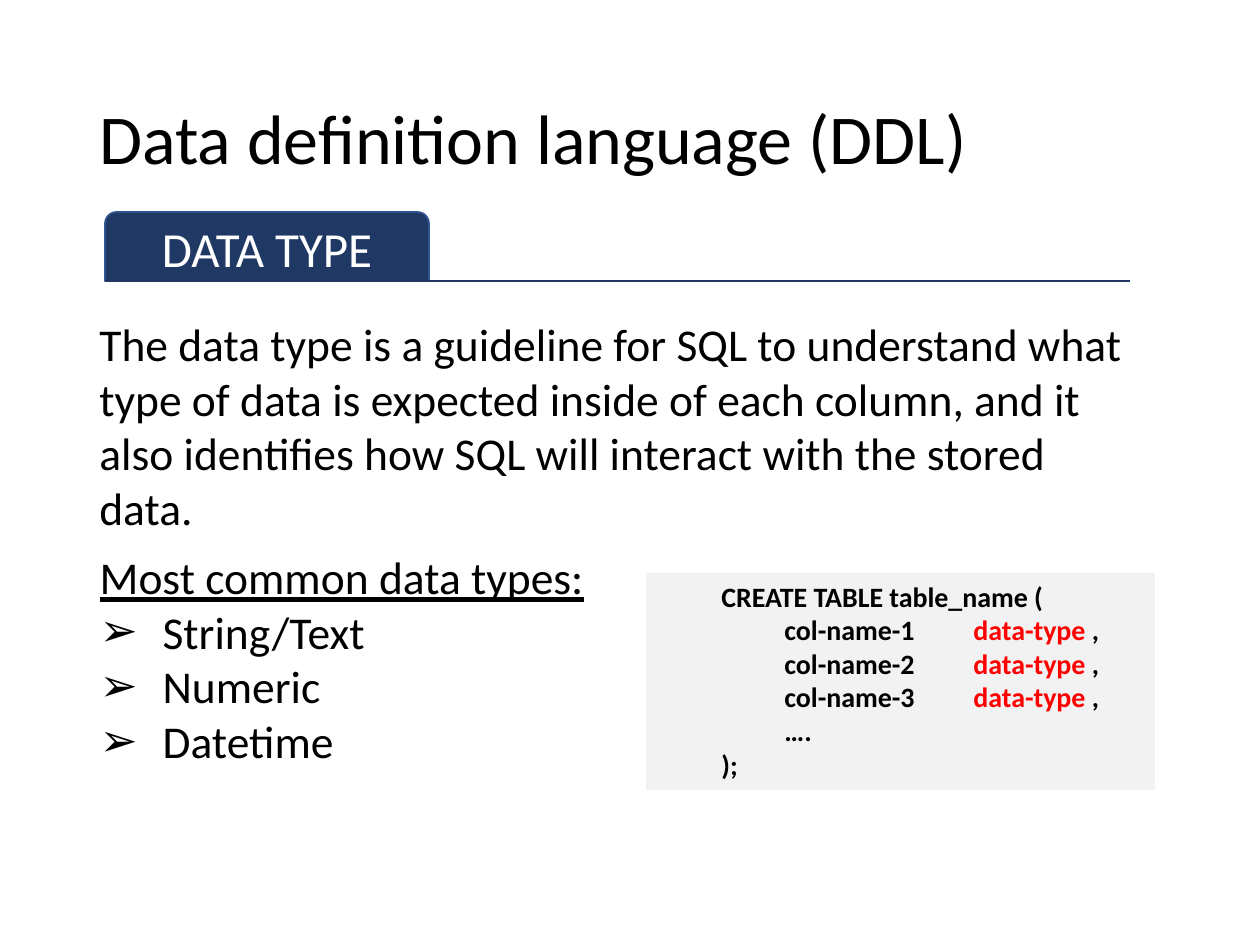
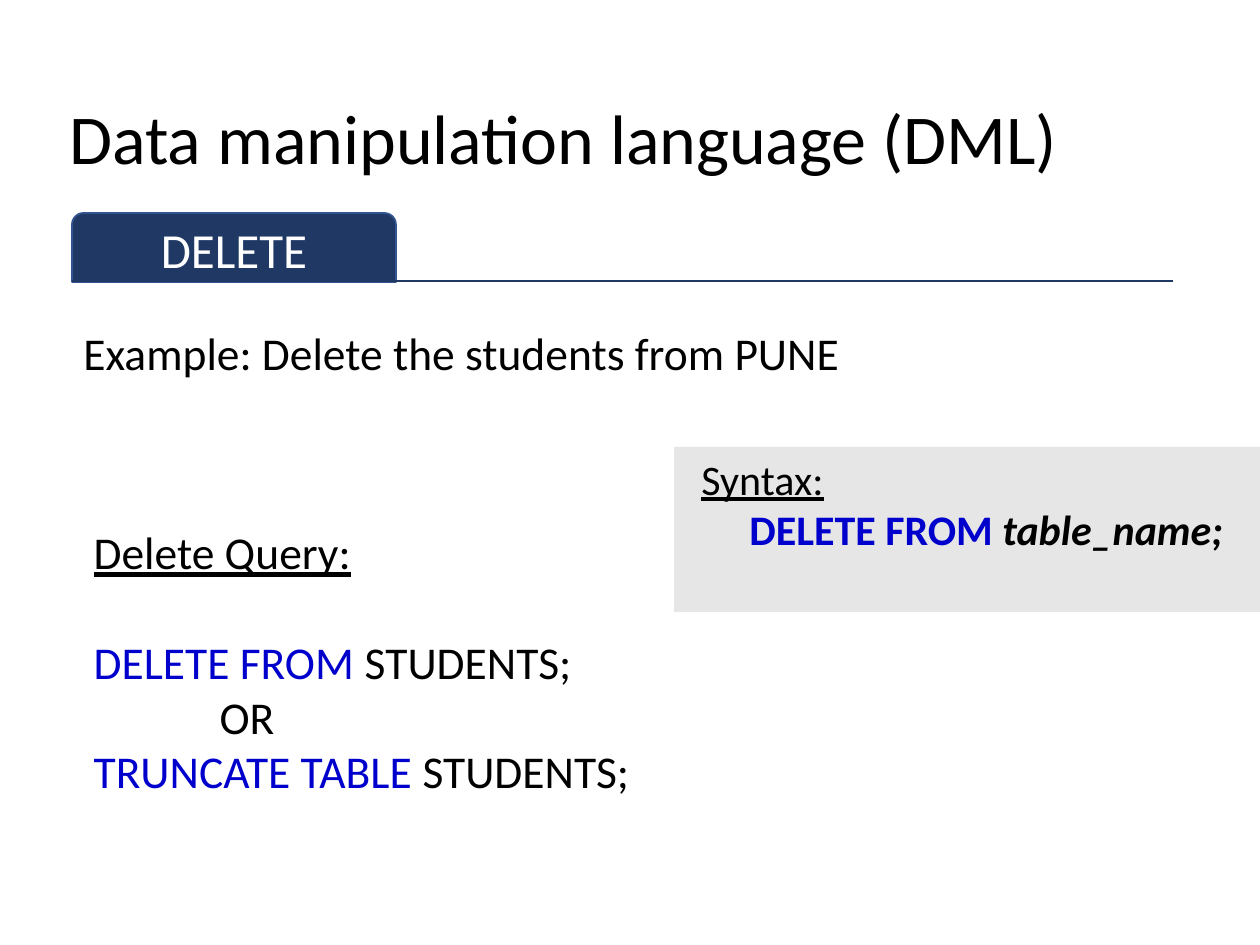
from collections import namedtuple
from dataclasses import dataclass

from lxml.etree import SubElement
from pptx import Presentation
from pptx.dml.color import RGBColor
from pptx.enum.shapes import MSO_CONNECTOR as Connector, MSO_SHAPE as Preset
from pptx.enum.text import MSO_ANCHOR as Anchor, MSO_AUTO_SIZE as AutoSize, PP_ALIGN as Align
from pptx.oxml.ns import qn
from pptx.util import Pt

PX_PER_INCH = 126
TAB = PX_PER_INCH // 2

Box = namedtuple("Box", "left top width height")
Run = namedtuple("Run", "text color bold italic underline", defaults=(None, False, False, False))


@dataclass(frozen=True)
class Theme:
    font: str = "Calibri"
    ink: str = "000000"
    paper: str = "FFFFFF"
    navy: str = "203864"
    tab_edge: str = "325491"
    code_panel: str = "F2F2F2"
    syntax_panel: str = "E7E6E6"
    placeholder_red: str = "FF0000"
    keyword_blue: str = "0000CD"
    title_size: int = 40
    tab_size: int = 28
    body_size: int = 26
    syntax_size: int = 24
    code_size: int = 16


THEME = Theme()


# Shared helpers
def px(length):
    return round(length * 914400 / PX_PER_INCH)


def rgb(color):
    return RGBColor.from_string(color)


def place(shape, box):
    shape.left, shape.top, shape.width, shape.height = map(px, box)


def write(frame, runs, size, color=THEME.ink, align=Align.LEFT, indent=0,
          bullet=None, stops=(), space_before=0):
    """Add one paragraph; the first call fills the empty paragraph of the frame."""
    first = frame.paragraphs[0]
    paragraph = frame.add_paragraph() if first.runs else first
    properties = paragraph._p.get_or_add_pPr()
    properties.set("marL", str(px(indent)))
    properties.set("indent", str(-px(indent) if bullet else 0))
    if bullet:
        SubElement(properties, qn("a:buChar"), char=bullet)
    else:
        SubElement(properties, qn("a:buNone"))
    if stops:
        tab_list = SubElement(properties, qn("a:tabLst"))
        for stop in stops:
            SubElement(tab_list, qn("a:tab"), pos=str(px(stop)), algn="l")
    paragraph.alignment = align
    paragraph.space_before = Pt(space_before)
    for part in runs:
        run = paragraph.add_run()
        run.text = part.text
        font = run.font
        font.name, font.size = THEME.font, Pt(size)
        font.color.rgb = rgb(part.color or color)
        font.bold, font.italic, font.underline = part.bold, part.italic, part.underline
    return paragraph


def prepare(frame, anchor=Anchor.TOP):
    frame.word_wrap = True
    frame.auto_size = AutoSize.NONE
    frame.vertical_anchor = anchor
    return frame


def add_filled(slide, preset, box, fill, edge=None, anchor=Anchor.TOP):
    shape = slide.shapes.add_shape(preset, *map(px, box))
    shape.shadow.inherit = False
    shape.fill.solid()
    shape.fill.fore_color.rgb = rgb(fill)
    if edge:
        shape.line.color.rgb = rgb(edge)
        shape.line.width = Pt(1)
    else:
        shape.line.fill.background()
    return prepare(shape.text_frame, anchor)


# Regions
def add_title(slide, box, text):
    place(slide.shapes.title, box)
    frame = prepare(slide.shapes.title.text_frame, Anchor.MIDDLE)
    write(frame, [Run(text)], THEME.title_size).line_spacing = 0.9


def add_section_tab(slide, box, label, rule_right, rule_y=281):
    frame = add_filled(slide, Preset.ROUND_2_SAME_RECTANGLE, box, THEME.navy,
                       THEME.tab_edge, Anchor.MIDDLE)
    write(frame, [Run(label)], THEME.tab_size, THEME.paper, Align.CENTER)
    rule = slide.shapes.add_connector(
        Connector.STRAIGHT, px(box.left), px(rule_y), px(rule_right), px(rule_y))
    rule.line.color.rgb = rgb(THEME.navy)
    rule.line.width = Pt(1.5)
    SubElement(rule._element.spPr, qn("a:effectLst"))


def add_statement(slide, box, text):
    statement = slide.shapes.add_textbox(*map(px, box))
    write(prepare(statement.text_frame), [Run(text)], THEME.body_size)


def body_frame(slide, box):
    body = slide.placeholders[1]
    place(body, box)
    return prepare(body.text_frame)


def add_type_list(slide, box, heading, types):
    frame = body_frame(slide, box)
    write(frame, [Run(heading, underline=True)], THEME.body_size)
    for data_type in types:
        write(frame, [Run(data_type)], THEME.body_size, indent=TAB, bullet="➢")


def add_create_code(slide, box, columns):
    frame = add_filled(slide, Preset.RECTANGLE, box, THEME.code_panel)
    column_lines = [
        [Run(f"\t\t{column}\t", bold=True),
         Run("data-type", THEME.placeholder_red, bold=True),
         Run(" ,", bold=True)]
        for column in columns
    ]
    lines = [[Run("\tCREATE TABLE table_name (", bold=True)], *column_lines,
             [Run("\t\t….", bold=True)], [Run("\t);", bold=True)]]
    for line in lines:
        write(frame, line, THEME.code_size, stops=(TAB, 2 * TAB, 5 * TAB))


def add_syntax(slide, box):
    frame = add_filled(slide, Preset.RECTANGLE, box, THEME.syntax_panel)
    write(frame, [Run("Syntax:", underline=True)], THEME.syntax_size, indent=15)
    write(frame, [Run("DELETE FROM ", THEME.keyword_blue, bold=True),
                  Run("table_name;", bold=True, italic=True)],
          THEME.syntax_size, indent=TAB)


def add_query(slide, box):
    frame = body_frame(slide, box)
    size, blue = THEME.body_size, THEME.keyword_blue
    write(frame, [Run("Delete Query:", underline=True)], size)
    write(frame, [Run("DELETE FROM", blue), Run(" STUDENTS;")], size,
          space_before=31.7)
    write(frame, [Run("OR")], size, indent=2 * TAB)
    write(frame, [Run("TRUNCATE TABLE ", blue), Run("STUDENTS;")], size)


# Slides
def build_data_type(slide):
    add_title(slide, Box(87, 50, 1086, 183), "Data definition language (DDL)")
    add_section_tab(slide, Box(105, 212, 324, 69), "DATA TYPE", rule_right=1130)
    add_create_code(slide, Box(646, 573, 509, 217),
                    [f"col-name-{number}" for number in range(1, 4)])
    add_statement(slide, Box(87, 310, 1070, 233),
                  "The data type is a guideline for SQL to understand what type of data "
                  "is expected inside of each column, and it also identifies how SQL "
                  "will interact with the stored data.")
    add_type_list(slide, Box(87, 543, 630, 233), "Most common data types:",
                  ["String/Text", "Numeric", "Datetime"])


def build_delete(slide):
    add_title(slide, Box(57, 50, 1118, 183), "Data manipulation language (DML)")
    add_section_tab(slide, Box(72, 213, 324, 69), "DELETE", rule_right=1173)
    add_statement(slide, Box(71, 319, 1166, 68),
                  "Example: Delete the students from PUNE")
    add_syntax(slide, Box(674, 447, 586, 165))
    add_query(slide, Box(81, 518, 987, 289))


def main():
    deck = Presentation()
    deck.slide_width, deck.slide_height = px(1260), px(945)
    title_and_content = deck.slide_layouts[1]
    for build in (build_data_type, build_delete):
        build(deck.slides.add_slide(title_and_content))
    deck.save("out.pptx")


if __name__ == "__main__":
    main()
